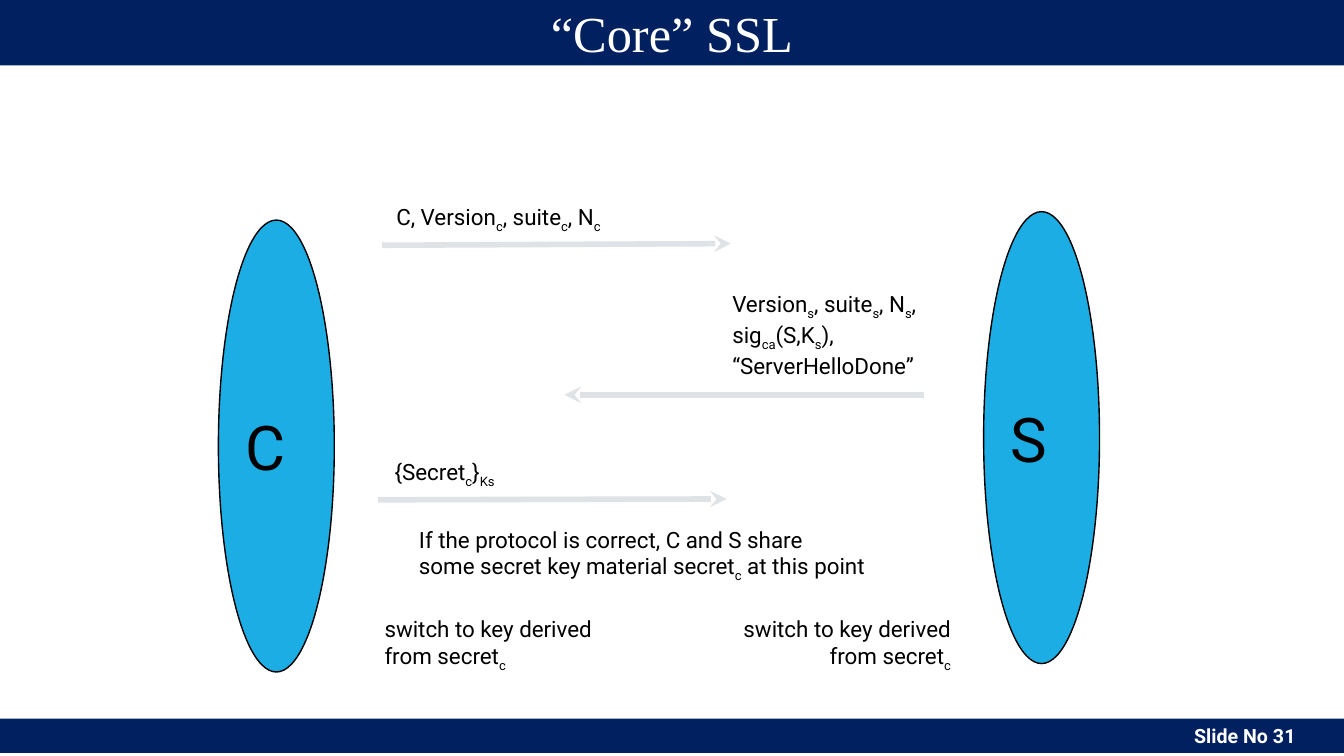
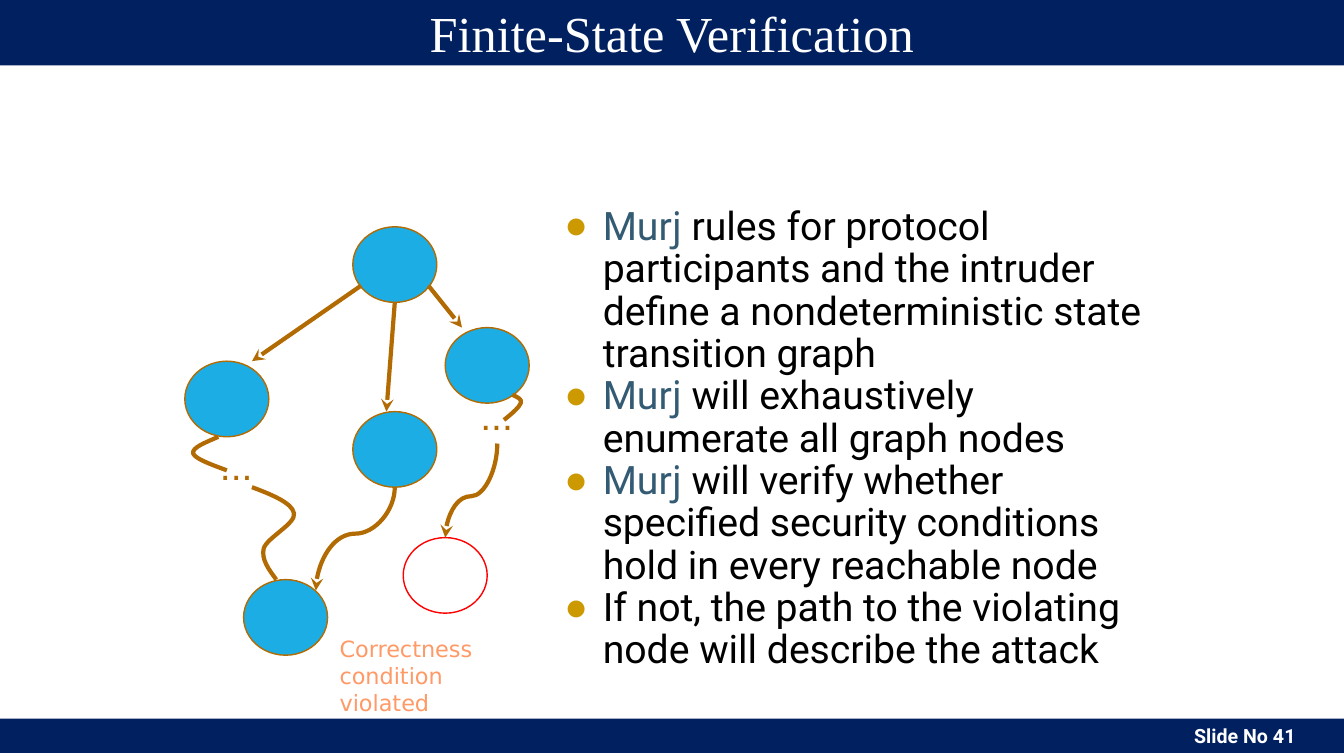
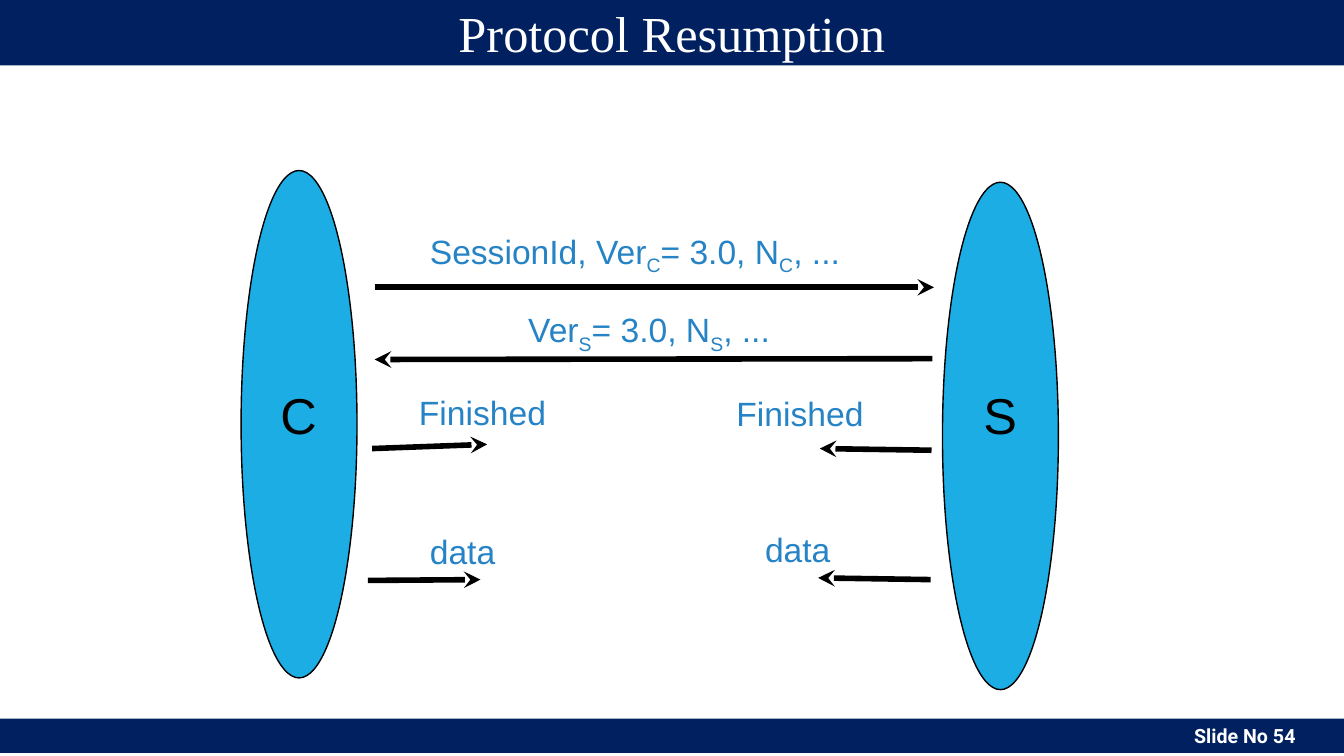
from dataclasses import dataclass

from lxml.etree import SubElement
from pptx import Presentation
from pptx.dml.color import RGBColor
from pptx.enum.shapes import MSO_CONNECTOR, MSO_SHAPE
from pptx.enum.text import MSO_ANCHOR, MSO_AUTO_SIZE, PP_ALIGN
from pptx.oxml.ns import qn
from pptx.util import Inches, Pt

TITLE_ONLY, TITLE_AND_BODY = 5, 1
COLUMNS, ROWS = 160, 90


@dataclass(frozen=True)
class Theme:
    navy: str = "002060"
    white: str = "FFFFFF"
    black: str = "000000"
    cyan: str = "1CADE4"
    pale: str = "DFE3E5"
    brown: str = "B26B02"
    red: str = "FF0000"
    gold: str = "CC9900"
    slate: str = "335B74"
    blue: str = "2683C6"
    salmon: str = "FF9966"
    serif: str = "Times New Roman"
    sans: str = "Roboto"
    plain: str = "Arial"
    symbol: str = "Noto Sans"
    note: str = "DejaVu Sans"
    footer_size: int = 14
    label_size: int = 16
    message_size: int = 24
    body_size: int = 28
    title_size: int = 36
    party_size: int = 44


THEME = Theme()


def grid(*cells):
    """Lengths in grid cells, one twelfth of an inch each."""
    return [Inches(cell / 12) for cell in cells]


def color(code):
    return RGBColor.from_string(code)


def paint(shape, fill, outline=None):
    shape.shadow.inherit = False
    shape.fill.solid()
    shape.fill.fore_color.rgb = color(fill)
    if outline:
        shape.line.color.rgb = color(outline)
        shape.line.width = Pt(1)
    else:
        shape.line.fill.background()


def add_span(para, text, font, size, ink, bold=False):
    span = para.add_run()
    span.text = text
    span.font.name, span.font.size, span.font.bold = font, Pt(size), bold
    span.font.color.rgb = color(ink)
    return span


def write(frame, lines, font, size, ink, align=PP_ALIGN.LEFT, bold=False):
    """Fill a frame with one paragraph a line; ~x~ sets x as a subscript."""
    for index, line in enumerate(lines):
        para = frame.add_paragraph() if index else frame.paragraphs[0]
        para.alignment = align
        for part, text in enumerate(line.split("~")):
            if text:
                span = add_span(para, text, font, size, ink, bold)
                if part % 2:
                    span.font._element.set("baseline", "-25000")


def add_label(page, place, lines, font=THEME.sans, size=THEME.label_size,
              ink=THEME.black, align=PP_ALIGN.LEFT, wrap=False):
    box = page.shapes.add_textbox(*grid(*place))
    box.text_frame.word_wrap = wrap
    box.text_frame.auto_size = MSO_AUTO_SIZE.SHAPE_TO_FIT_TEXT
    write(box.text_frame, lines, font, size, ink, align)


def add_ellipse(page, place, fill=THEME.cyan, outline=THEME.black):
    ellipse = page.shapes.add_shape(MSO_SHAPE.OVAL, *grid(*place))
    paint(ellipse, fill, outline)
    return ellipse


def style_arrow(connector, ink, width):
    connector.line.color.rgb = color(ink)
    connector.line.width = Pt(width)
    SubElement(connector.line._get_or_add_ln(), qn("a:tailEnd"), type="stealth")
    SubElement(connector._element.spPr, qn("a:effectLst"))


def add_arrow(page, start, tip, ink=THEME.black, width=4):
    connector = page.shapes.add_connector(MSO_CONNECTOR.STRAIGHT, *grid(*start, *tip))
    style_arrow(connector, ink, width)


def add_falling_arrow(page, start, tip, bend):
    """S-shaped arrow that leaves and arrives vertically: a quarter-turned curve."""
    middle_x, middle_y = (start[0] + tip[0]) / 2, (start[1] + tip[1]) / 2
    half_width, half_height = (tip[1] - start[1]) / 2, (start[0] - tip[0]) / 2
    connector = page.shapes.add_connector(
        MSO_CONNECTOR.CURVE,
        *grid(middle_x - half_width, middle_y - half_height,
              middle_x + half_width, middle_y + half_height))
    properties = connector._element.spPr
    properties.find(qn("a:xfrm")).set("rot", "5400000")
    geometry = properties.find(qn("a:prstGeom"))
    adjustments = geometry.find(qn("a:avLst"))
    if adjustments is None:
        adjustments = SubElement(geometry, qn("a:avLst"))
    SubElement(adjustments, qn("a:gd"), name="adj1", fmla=f"val {round(bend * 100000)}")
    style_arrow(connector, THEME.brown, 3)


def add_squiggle(page, start, *controls):
    """Open Bézier path; every three control points make one segment."""
    builder = page.shapes.build_freeform(*grid(*start))
    builder.add_line_segments([grid(*point) for point in controls], close=False)
    squiggle = builder.convert_to_shape()
    steps = list(squiggle._element.iter(qn("a:lnTo")))
    for first in range(0, len(steps), 3):
        curve = SubElement(steps[first].getparent(), qn("a:cubicBezTo"))
        for step in steps[first:first + 3]:
            curve.append(step[0])
            step.getparent().remove(step)
    squiggle.shadow.inherit = False
    squiggle.fill.background()
    squiggle.line.color.rgb = color(THEME.brown)
    squiggle.line.width = Pt(3)


def add_bullets(body, place, items):
    """Each item is a list of (text, font, colour) spans."""
    body.left, body.top, body.width, body.height = grid(*place)
    frame = body.text_frame
    frame.auto_size = MSO_AUTO_SIZE.NONE
    for index, item in enumerate(items):
        para = frame.add_paragraph() if index else frame.paragraphs[0]
        properties = para._p.get_or_add_pPr()
        properties.set("marL", str(Inches(0.38)))
        properties.set("indent", str(-Inches(0.38)))
        bullet_color = SubElement(properties, qn("a:buClr"))
        SubElement(bullet_color, qn("a:srgbClr"), val=THEME.gold)
        SubElement(properties, qn("a:buChar"), char="●")
        para.line_spacing, para.space_before = 0.9, Pt(0)
        for text, font, ink in item:
            add_span(para, text, font, THEME.body_size, ink)


def add_page(deck, title, number, layout=TITLE_ONLY):
    page = deck.slides.add_slide(deck.slide_layouts[layout])
    band = page.shapes.add_shape(MSO_SHAPE.RECTANGLE, *grid(0, 85.55, COLUMNS, 4.1))
    paint(band, THEME.navy)
    band.text_frame.vertical_anchor = MSO_ANCHOR.TOP
    band.text_frame.margin_right = Inches(0.48)
    write(band.text_frame, [f"Slide No {number}"], THEME.sans, THEME.footer_size,
          THEME.white, PP_ALIGN.RIGHT, bold=True)
    heading = page.shapes.title
    heading.left, heading.top, heading.width, heading.height = grid(0, 0, COLUMNS, 7.8)
    heading.fill.solid()
    heading.fill.fore_color.rgb = color(THEME.navy)
    heading.text_frame.auto_size = MSO_AUTO_SIZE.NONE
    heading.text_frame.vertical_anchor = MSO_ANCHOR.MIDDLE
    write(heading.text_frame, [title], THEME.serif, THEME.title_size, THEME.white,
          PP_ALIGN.CENTER)
    return page


def build_core(deck):
    page = add_page(deck, "“Core” SSL", 31)
    for name, left, top in (("C", 26, 26.2), ("S", 117.1, 25.2)):
        party = add_ellipse(page, (left, top, 13.8, 53.8))
        party.text_frame.vertical_anchor = MSO_ANCHOR.MIDDLE
        write(party.text_frame, [name], THEME.sans, THEME.party_size, THEME.black)
    for start, tip in (((45.5, 29.2), (87, 29)),
                       ((110, 47), (67.2, 47)),
                       ((45, 59.5), (86.5, 59.4))):
        add_arrow(page, start, tip, THEME.pale)
    add_label(page, (46, 23.6, 27.5, 4.4), ["C, Version~c~, suite~c~, N~c~"])
    add_label(page, (86, 34, 25, 10.9),
              ["Version~s~, suite~s~, N~s~,", "sig~ca~(S,K~s~),", "“ServerHelloDone”"])
    add_label(page, (45.8, 54, 15.1, 4.4), ["{Secret~c~}~Ks~"])
    add_label(page, (48.7, 62, 55.9, 7.7),
              ["If the protocol is correct, C and S share",
               "some secret key material secret~c~ at this point"])
    for left, align in ((44.6, PP_ALIGN.LEFT), (86.8, PP_ALIGN.RIGHT)):
        add_label(page, (left, 72.7, 27.6, 7.7),
                  ["switch to key derived", "from secret~c~"], align=align)


def build_verification(deck):
    page = add_page(deck, "Finite-State Verification", 41, TITLE_AND_BODY)
    for left, top in ((42, 27), (53, 39), (22, 43), (29, 69), (42, 49)):
        add_ellipse(page, (left, top, 10, 9), outline=THEME.brown)
    add_ellipse(page, (48, 64, 10, 9), THEME.white, THEME.red)
    for start, tip in (((43, 34), (30, 43)), ((51, 34), (55, 39)), ((47, 36), (46, 49))):
        add_arrow(page, start, tip, THEME.brown, 3)
    add_squiggle(page, (30, 58), (32.4, 58.9), (34.8, 59.9), (35, 61.1),
                 (35.3, 62.3), (31.8, 64), (31.4, 65.3),
                 (31.1, 66.6), (32, 67.8), (32.9, 69))
    add_squiggle(page, (26, 52), (24.4, 52.7), (22.8, 53.3), (23, 54),
                 (23.2, 54.7), (26.3, 55.7), (27, 56))
    add_squiggle(page, (61, 47), (61.6, 47.3), (62.2, 47.5), (62, 48),
                 (61.8, 48.5), (61, 49.2), (60, 50))
    add_falling_arrow(page, (47, 58), (37.6, 70.3), 0.45)
    add_falling_arrow(page, (59.2, 52.8), (53, 64), 0.56)
    for left, top in ((25, 52), (56, 46)):
        add_label(page, (left, top, 8, 6.8), ["..."], THEME.plain,
                  THEME.body_size, THEME.brown, wrap=True)
    tool = [("Mur", THEME.sans, THEME.slate), ("j", THEME.symbol, THEME.slate)]
    rules = (" rules for protocol participants and the intruder define a "
             "nondeterministic state transition graph",
             " will exhaustively enumerate all graph nodes",
             " will verify whether specified security conditions hold in every "
             "reachable node")
    items = [tool + [(rule, THEME.sans, THEME.black)] for rule in rules]
    items.append([("If not, the path to the violating node will describe the attack",
                   THEME.sans, THEME.black)])
    add_bullets(page.placeholders[1], (66, 24, 74, 60), items)
    add_label(page, (39.25, 75, 25, 7.7), ["Correctness", "condition violated"],
              THEME.note, ink=THEME.salmon, wrap=True)


def build_resumption(deck):
    page = add_page(deck, "Protocol Resumption", 54)
    for name, left, top, name_left in (("C", 28.7, 20.3, 32.2), ("S", 112.2, 21.7, 115.9)):
        add_ellipse(page, (left, top, 13.8, 60.4))
        add_label(page, (name_left, 45.2, 6.6, 8.4), [name], THEME.plain, THEME.title_size)
    for start, tip in (((44.6, 34.2), (111.2, 34.2)),
                       ((111, 42.7), (44.6, 42.8)),
                       ((44.3, 53.4), (58, 52.9)),
                       ((110.9, 53.6), (97.6, 53.4)),
                       ((43.8, 69.1), (57.2, 69)),
                       ((110.8, 69), (97.4, 68.8))):
        add_arrow(page, start, tip)
    for text, left, top, width in (("SessionId, Ver~C~= 3.0, N~C~, ...", 50, 26.9, 51.8),
                                   ("Ver~S~= 3.0, N~S~, ...", 61.7, 36.2, 31.8),
                                   ("Finished", 48.7, 46.1, 17.5),
                                   ("Finished", 86.5, 46.2, 17.5),
                                   ("data", 50, 62.6, 12.5),
                                   ("data", 89.9, 62.4, 12.5)):
        add_label(page, (left, top, width, 6), [text], THEME.plain,
                  THEME.message_size, THEME.blue)


def main():
    deck = Presentation()
    deck.slide_width, deck.slide_height = grid(COLUMNS, ROWS)
    build_core(deck)
    build_verification(deck)
    build_resumption(deck)
    deck.save("out.pptx")


if __name__ == "__main__":
    main()
